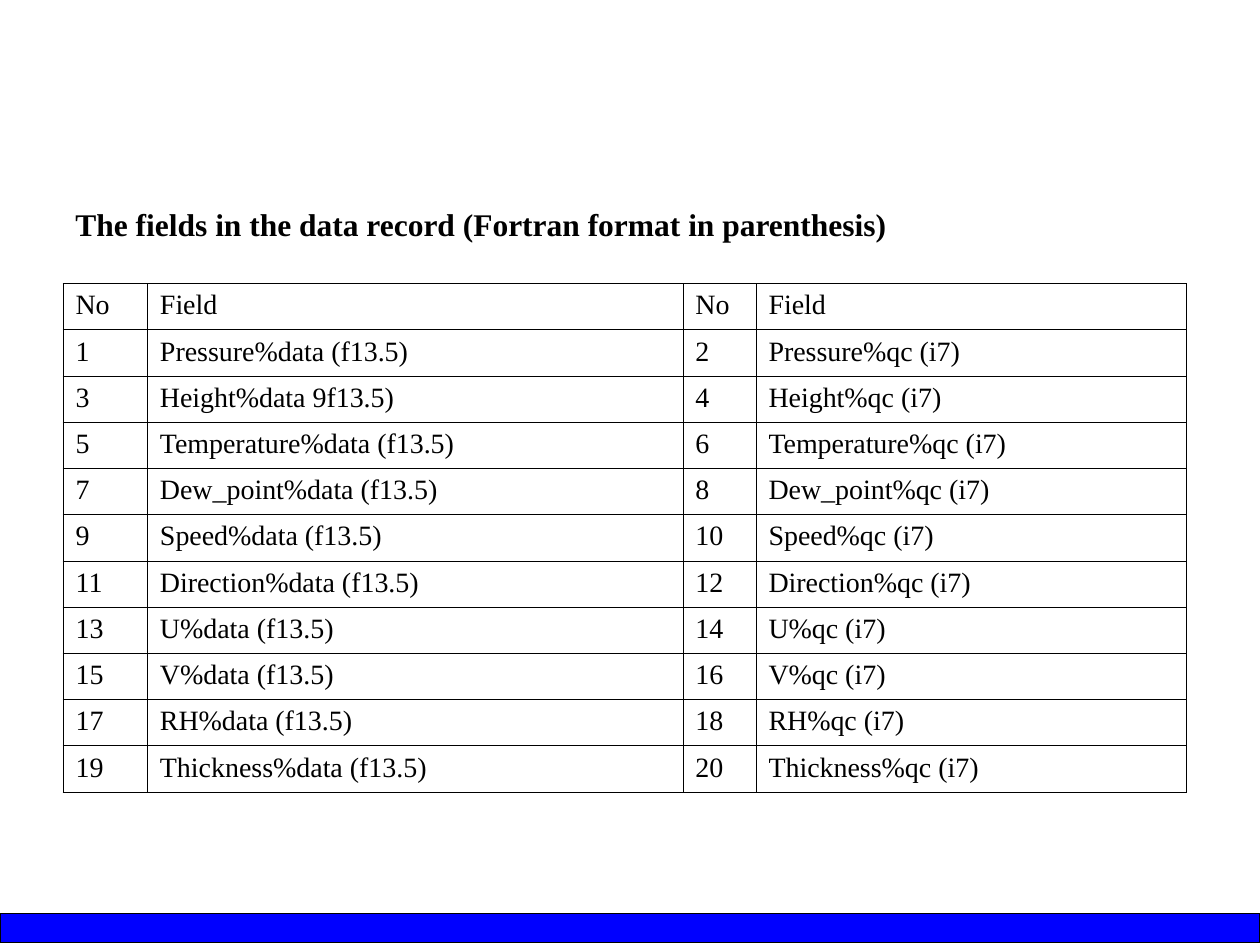
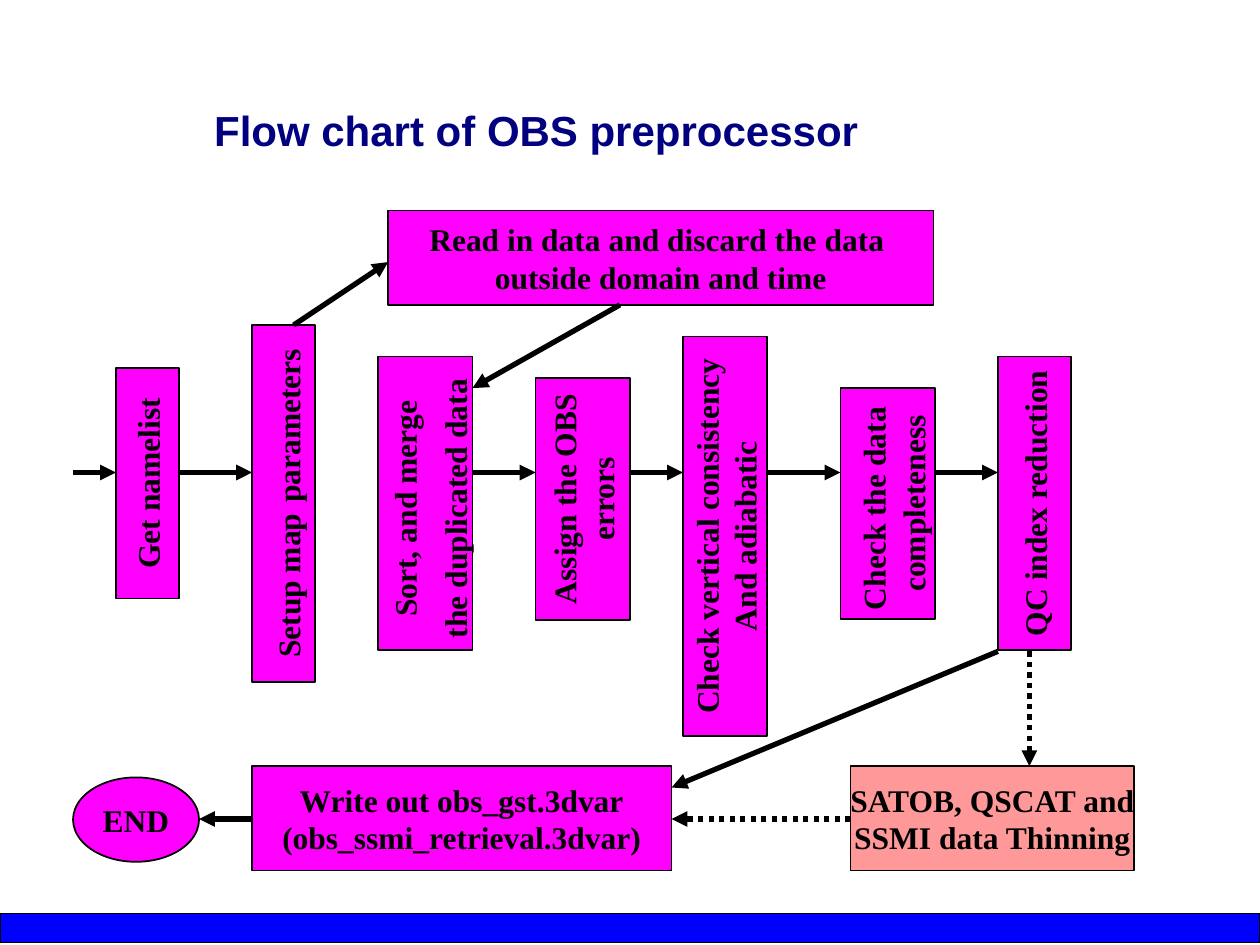
from lxml import etree
from pptx import Presentation
from pptx.dml.color import RGBColor
from pptx.enum.dml import MSO_LINE
from pptx.enum.shapes import MSO_CONNECTOR, MSO_SHAPE
from pptx.enum.text import MSO_ANCHOR, PP_ALIGN
from pptx.oxml.ns import qn
from pptx.util import Inches, Pt

RECT, OVAL = MSO_SHAPE.RECTANGLE, MSO_SHAPE.OVAL
STRAIGHT, DOTS = MSO_CONNECTOR.STRAIGHT, MSO_LINE.ROUND_DOT
MIDDLE, CENTER = MSO_ANCHOR.MIDDLE, PP_ALIGN.CENTER

BLACK, BLUE, NAVY = "000000", "0000FF", "000080"
PINK, SALMON = "FF00FF", "FF9999"
SERIF, SANS = "Times New Roman", "Arial"

FIELDS = ["Pressure", "Height", "Temperature", "Dew_point", "Speed",
          "Direction", "U", "V", "RH", "Thickness"]
COLS = [0.67, 4.25, 0.58, 3.42]

# Steps in flow order: left, top, width, height, lines of runs
STEPS = [
    (0.34, 1.25, 0.5, 1.83, [["Get namelist"]]),
    (1.42, 0.91, 0.5, 2.83, [["Setup map", " ", "parameters"]]),
    (2.42, 1.16, 0.75, 2.33,
     [["Sort, and merge", " "], ["the duplicated data", " "]]),
    (3.67, 1.33, 0.75, 1.92, [["Assign the OBS"], ["errors"]]),
    (4.84, 1.0, 0.67, 3.17,
     [["Check vertical consistency"], ["And adiabatic"]]),
    (6.09, 1.41, 0.75, 1.83, [["Check the data", " "], ["completeness"]]),
    (7.34, 1.16, 0.58, 2.33, [["QC index reduction"]]),
]
SETUP = 1  # this step leads up to the reading box, not to its neighbour


def color(code):
    return RGBColor.from_string(code)


def add_run(para, text, size, bold=True, face=SERIF, code=BLACK):
    run = para.add_run()
    run.text = text
    font = run.font
    font.size, font.bold, font.name = Pt(size), bold, face
    font.color.rgb = color(code)


def add_box(slide, kind, box, fill):
    shape = slide.shapes.add_shape(kind, *map(Inches, box))
    shape.shadow.inherit = False
    shape.fill.solid()
    shape.fill.fore_color.rgb = color(fill)
    shape.line.color.rgb = color(BLACK)
    shape.line.width = Pt(1)
    return shape


def add_node(slide, box, lines, fill=PINK, kind=RECT, turned=False):
    """Add a labelled box; a turned one reads from bottom to top."""
    if turned:
        left, top, width, height = box
        shift = (width - height) / 2
        box = left + shift, top - shift, height, width
    node = add_box(slide, kind, box, fill)
    node.rotation = 270 if turned else 0
    frame = node.text_frame
    frame.word_wrap = False
    frame.vertical_anchor = MIDDLE
    for i, runs in enumerate(lines):
        para = frame.add_paragraph() if i else frame.paragraphs[0]
        para.alignment = CENTER
        for text in runs:
            add_run(para, text, 24 if text == " " else 18)


def add_arrow(slide, x1, y1, x2, y2, dotted=False):
    arrow = slide.shapes.add_connector(
        STRAIGHT, *map(Inches, (x1, y1, x2, y2)))
    line = arrow.line
    line.color.rgb = color(BLACK)
    line.width = Pt(3)
    if dotted:
        line.dash_style = DOTS
    etree.SubElement(line._get_or_add_ln(), qn("a:tailEnd"), type="triangle")
    etree.SubElement(arrow._element.spPr, qn("a:effectLst"))


def add_title(slide, box, text, size, face=SERIF, code=BLACK, inset=0.1):
    frame = slide.shapes.add_textbox(*map(Inches, box)).text_frame
    frame.margin_left = Inches(inset)
    add_run(frame.paragraphs[0], text, size, face=face, code=code)
    return frame


def add_edges(cell):
    props = cell._tc.get_or_add_tcPr()
    for side in "LRTB":
        edge = etree.SubElement(props, qn(f"a:ln{side}"), w=str(Pt(0.45)))
        fill = etree.SubElement(edge, qn("a:solidFill"))
        etree.SubElement(fill, qn("a:srgbClr"), val=BLACK)


def field_rows():
    rows = [["No", "Field"] * 2]
    for i, name in enumerate(FIELDS):
        form = "9f13.5)" if name == "Height" else "(f13.5)"
        rows.append([str(2 * i + 1), f"{name}%data {form}",
                     str(2 * i + 2), f"{name}%qc (i7)"])
    return rows


def add_grid(slide, left, top, height):
    rows = field_rows()
    box = left, top, sum(COLS), height
    table = slide.shapes.add_table(
        len(rows), len(COLS), *map(Inches, box)).table
    table.first_row = table.horz_banding = False
    for col, width in zip(table.columns, COLS):
        col.width = Inches(width)
    for row, texts in zip(table.rows, rows):
        row.height = Inches(height / len(rows))
        for cell, text in zip(row.cells, texts):
            add_edges(cell)
            cell.fill.background()
            add_run(cell.text_frame.paragraphs[0], text, 16, bold=False)


def add_flow(slide, x, y):
    """Place the flow chart with its top left corner at x, y."""
    def node(left, top, width, height, lines, **look):
        add_node(slide, (x + left, y + top, width, height), lines, **look)

    def arrow(x1, y1, x2, y2, dotted=False):
        add_arrow(slide, x + x1, y + y1, x + x2, y + y2, dotted)

    for step in STEPS:
        node(*step, turned=True)
    node(2.5, 0, 4.33, 0.75, [["Read in data and discard the data "],
                              ["outside domain and time"]])
    node(6.17, 4.41, 2.25, 0.83,
         [["SATOB, QSCAT and"], ["SSMI data Thinning"]], fill=SALMON)
    node(1.42, 4.41, 3.33, 0.83,
         [["Write out obs_gst.3dvar"], ["(obs_ssmi_retrieval.3dvar)"]])
    node(0, 4.5, 1, 0.67, [["END"]], kind=OVAL)

    axis = 2.08
    arrow(0, axis, STEPS[0][0], axis)
    for i, (step, after) in enumerate(zip(STEPS, STEPS[1:])):
        if i != SETUP:
            arrow(step[0] + step[2], axis, after[0], axis)
    arrow(1.75, 0.91, 2.5, 0.41)
    arrow(4.34, 0.75, 3.17, 1.41)
    arrow(7.59, 3.5, 7.59, 4.41, dotted=True)
    arrow(6.17, 4.83, 4.75, 4.83, dotted=True)
    arrow(7.34, 3.5, 4.75, 4.58)
    arrow(1.42, 4.83, 1, 4.83)


def new_slide(prs):
    """Add a blank slide with the band at its foot."""
    slide = prs.slides.add_slide(prs.slide_layouts[6])
    add_box(slide, RECT, (0, 7.25, 10, 0.23), BLUE)
    return slide


def table_slide(prs):
    slide = new_slide(prs)
    frame = add_title(
        slide, (0.5, 1.58, 6.65, 0.4),
        "The fields in the data record (Fortran format in parenthesis)", 18)
    frame.word_wrap = False
    frame.vertical_anchor = MIDDLE
    add_grid(slide, 0.5, 2.25, 4.03)


def flow_slide(prs):
    slide = new_slide(prs)
    frame = add_title(slide, (0.25, 0.75, 8.92, 6.33),
                      "Flow chart of OBS preprocessor", 24, SANS, NAVY, 1.45)
    frame.word_wrap = True
    frame.margin_top = Inches(0.08)
    add_flow(slide, 0.58, 1.67)


def main():
    prs = Presentation()
    prs.slide_width, prs.slide_height = Inches(10), Inches(7.5)
    table_slide(prs)
    flow_slide(prs)
    prs.save("out.pptx")


if __name__ == "__main__":
    main()
